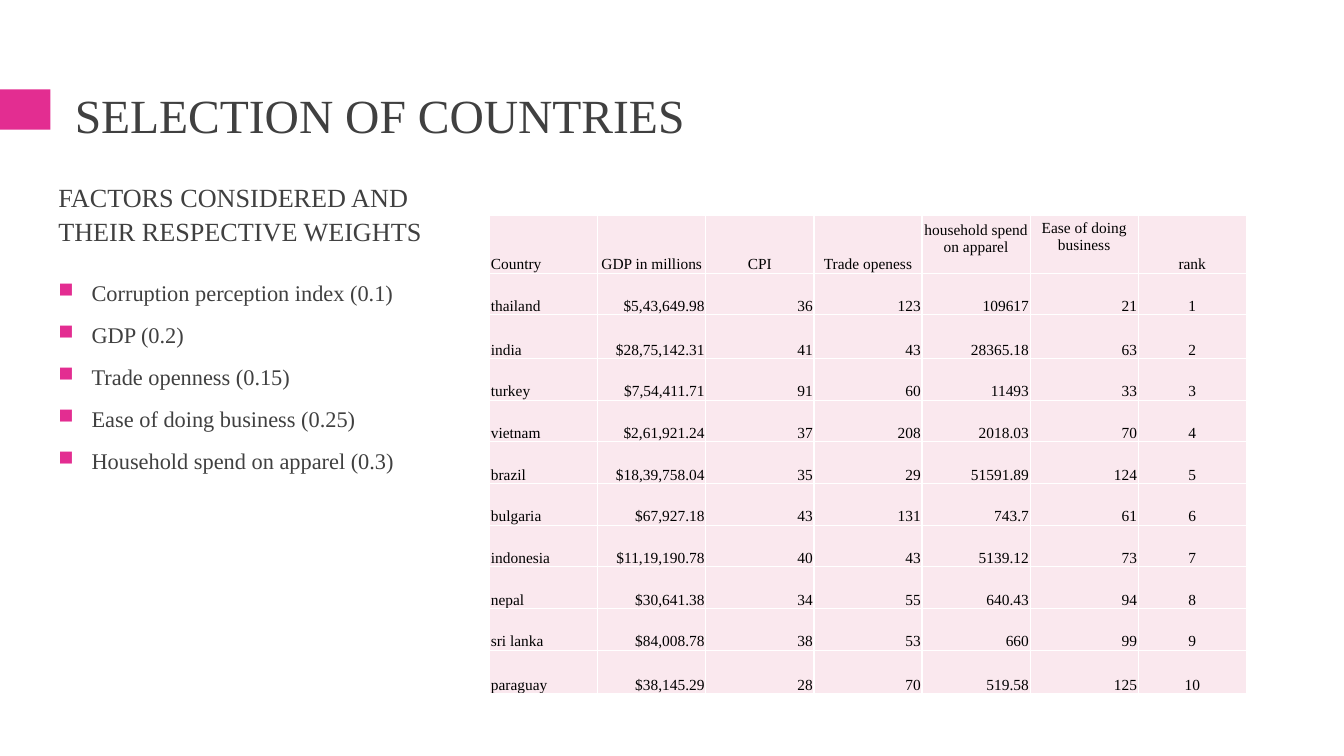
from lxml import etree
from pptx import Presentation
from pptx.dml.color import RGBColor
from pptx.enum.shapes import MSO_SHAPE
from pptx.enum.text import MSO_ANCHOR, MSO_AUTO_SIZE, PP_ALIGN
from pptx.oxml.ns import qn
from pptx.util import Cm, Pt

RECTANGLE = MSO_SHAPE.RECTANGLE
TOP, MIDDLE, BOTTOM = MSO_ANCHOR.TOP, MSO_ANCHOR.MIDDLE, MSO_ANCHOR.BOTTOM
LEFT, CENTER, RIGHT = PP_ALIGN.LEFT, PP_ALIGN.CENTER, PP_ALIGN.RIGHT
NO_AUTOFIT = MSO_AUTO_SIZE.NONE

FONT = "Times New Roman"
PINK, PALE_PINK = "E32D91", "FAE8EE"
GREY, BLACK, WHITE = "404040", "000000", "FFFFFF"

FACTORS = [
    "Corruption perception index (0.1)",
    "GDP (0.2)",
    "Trade openness (0.15)",
    "Ease of doing business (0.25)",
    "Household spend on apparel (0.3)",
]
HEADINGS = ["Country", "GDP in millions", "CPI", "Trade openess",
            "household spend on apparel", "Ease of doing business", "rank"]
COUNTRIES = [
    ("thailand", "$5,43,649.98", "36", "123", "109617", "21"),
    ("india", "$28,75,142.31", "41", "43", "28365.18", "63"),
    ("turkey", "$7,54,411.71", "91", "60", "11493", "33"),
    ("vietnam", "$2,61,921.24", "37", "208", "2018.03", "70"),
    ("brazil", "$18,39,758.04", "35", "29", "51591.89", "124"),
    ("bulgaria", "$67,927.18", "43", "131", "743.7", "61"),
    ("indonesia", "$11,19,190.78", "40", "43", "5139.12", "73"),
    ("nepal", "$30,641.38", "34", "55", "640.43", "94"),
    ("sri lanka", "$84,008.78", "38", "53", "660", "99"),
    ("paraguay", "$38,145.29", "28", "70", "519.58", "125"),
]
HEADING_ALIGNS = [LEFT] + [CENTER] * 6
VALUE_ALIGNS = [LEFT] + [RIGHT] * 5 + [CENTER]
RAISED_HEADINGS = {"household spend on apparel": 0.43, "Ease of doing business": 0.48}
TALL_ROWS = ("india", "paraguay")


def color(hex_string):
    return RGBColor.from_string(hex_string)


def add_run(paragraph, text, size, hex_color):
    run = paragraph.add_run()
    run.text = text
    run.font.name = FONT
    run.font.size = Pt(size)
    run.font.color.rgb = color(hex_color)


def place(shape, left, top, width, height):
    shape.left, shape.top = Cm(left), Cm(top)
    shape.width, shape.height = Cm(width), Cm(height)


def add_text_frame(slide, left, top, width, height):
    frame = slide.shapes.add_textbox(Cm(left), Cm(top), Cm(width), Cm(height)).text_frame
    frame.word_wrap = True
    frame.vertical_anchor = TOP
    return frame


def set_title(slide, text):
    title = slide.shapes.title
    place(title, 1.63, 1.96, 30.63, 2.06)
    frame = title.text_frame
    frame.auto_size = NO_AUTOFIT
    frame.vertical_anchor = MIDDLE
    heading = frame.paragraphs[0]
    heading.alignment = LEFT
    heading.line_spacing = 0.85
    add_run(heading, text, 34, GREY)


def add_accent(slide):
    accent = slide.shapes.add_shape(RECTANGLE, Cm(0), Cm(2.25), Cm(1.27), Cm(1.02))
    accent.shadow.inherit = False
    accent.fill.solid()
    accent.fill.fore_color.rgb = color(PINK)
    accent.line.fill.background()


def add_subheading(slide, text):
    subheading = add_text_frame(slide, 1.22, 4.39, 10.72, 2.06).paragraphs[0]
    subheading.line_spacing = 1.07
    add_run(subheading, text, 18.7, GREY)


def set_bullet(paragraph):
    properties = paragraph._p.get_or_add_pPr()
    properties.set("marL", str(Cm(0.84)))
    properties.set("indent", str(Cm(-0.84)))
    bullet_color = etree.SubElement(properties, qn("a:buClr"))
    etree.SubElement(bullet_color, qn("a:srgbClr"), val=PINK)
    etree.SubElement(properties, qn("a:buSzPct"), val="92000")
    etree.SubElement(properties, qn("a:buChar"), char="■")


def add_factors(slide):
    frame = add_text_frame(slide, 1.22, 6.86, 10.72, 9.73)
    for index, factor in enumerate(FACTORS):
        item = frame.add_paragraph() if index else frame.paragraphs[0]
        item.line_spacing = 1.07
        item.space_before, item.space_after = Pt(3.5), Pt(6)
        set_bullet(item)
        add_run(item, factor, 16, GREY)


def set_borders(cell):
    properties = cell._tc.get_or_add_tcPr()
    for side in ("lnL", "lnR", "lnT", "lnB"):
        border = etree.SubElement(properties, qn(f"a:{side}"), w=str(Pt(1)))
        fill = etree.SubElement(border, qn("a:solidFill"))
        etree.SubElement(fill, qn("a:srgbClr"), val=WHITE)


def fill_cell(cell, text, alignment):
    set_borders(cell)
    cell.fill.solid()
    cell.fill.fore_color.rgb = color(PALE_PINK)
    cell.vertical_anchor = BOTTOM
    cell.margin_left = cell.margin_right = cell.margin_top = Cm(0.03)
    cell.margin_bottom = Cm(RAISED_HEADINGS.get(text, 0))
    paragraph = cell.text_frame.paragraphs[0]
    paragraph.alignment = alignment
    add_run(paragraph, text, 11, BLACK)


def add_country_table(slide):
    rows = [HEADINGS] + [(*country, str(rank)) for rank, country in enumerate(COUNTRIES, 1)]
    table = slide.shapes.add_table(len(rows), len(HEADINGS), Cm(12.34), Cm(5.44),
                                   Cm(19.07), Cm(11.96)).table
    table.first_row = table.horz_banding = False
    for column in table.columns:
        column.width = Cm(19.07 / len(HEADINGS))
    for r, values in enumerate(rows):
        if r == 0:
            height, aligns = 1.36, HEADING_ALIGNS
        else:
            height, aligns = (1.1 if values[0] in TALL_ROWS else 1.05), VALUE_ALIGNS
        table.rows[r].height = Cm(height)
        for c, (value, alignment) in enumerate(zip(values, aligns)):
            fill_cell(table.cell(r, c), value, alignment)


def main():
    presentation = Presentation()
    presentation.slide_width, presentation.slide_height = Cm(33.87), Cm(19.05)
    slide = presentation.slides.add_slide(presentation.slide_layouts[5])

    # Title with its accent block
    add_accent(slide)
    set_title(slide, "SELECTION OF COUNTRIES")

    # Weighted factors on the left
    add_subheading(slide, "FACTORS CONSIDERED AND THEIR RESPECTIVE WEIGHTS")
    add_factors(slide)

    # Ranked countries on the right
    add_country_table(slide)

    presentation.save("out.pptx")


if __name__ == "__main__":
    main()
